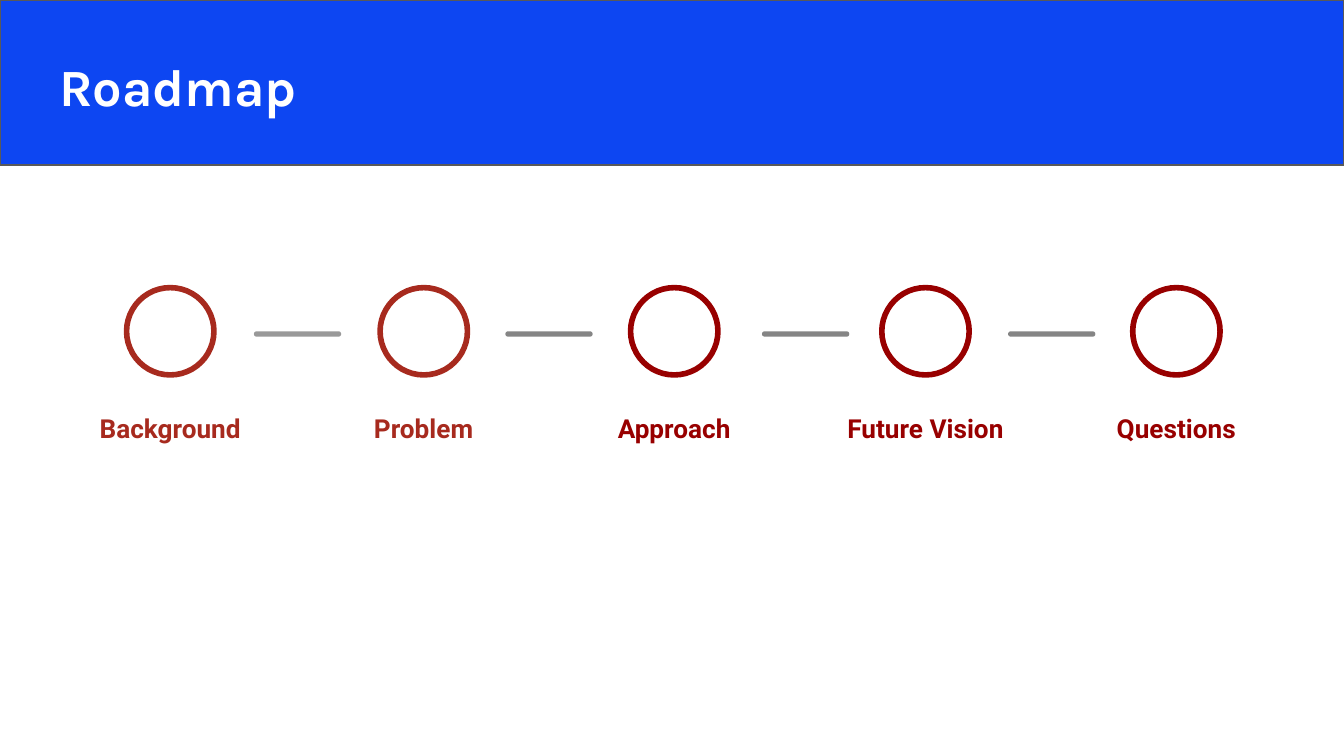
from pptx import Presentation
from pptx.dml.color import RGBColor
from pptx.enum.shapes import MSO_SHAPE
from pptx.enum.text import MSO_ANCHOR, MSO_AUTO_SIZE, PP_ALIGN
from pptx.util import Pt

RECT, OVAL, ROUND = MSO_SHAPE.RECTANGLE, MSO_SHAPE.OVAL, MSO_SHAPE.ROUNDED_RECTANGLE
TOP, BOTTOM = MSO_ANCHOR.TOP, MSO_ANCHOR.BOTTOM
LEFT, CENTER = PP_ALIGN.LEFT, PP_ALIGN.CENTER
FIXED = MSO_AUTO_SIZE.NONE

WIDTH, HEIGHT = 720, 405
PAD = 7.2
RED, DARK = "A72A1E", "980000"
LIGHT, GREY = "999999", "858585"

# Label, centre and colour of each step
STEPS = [
    ("Background", 91.2, RED),
    ("Problem", 227, RED),
    ("Approach", 361.2, DARK),
    ("Future Vision", 495.8, DARK),
    ("Questions", 630.2, DARK),
]
# Left edge and colour of each bar between two steps
BARS = [(136, LIGHT), (270.7, GREY), (408.2, GREY), (540, GREY)]


def paint(color):
    return RGBColor.from_string(color)


def apply(item, values):
    for name, value in values.items():
        setattr(item, name, value)


def draw(shapes, kind, box, fill=None, line=None, weight=0):
    shape = shapes.add_shape(kind, *map(Pt, box))
    shape.shadow.inherit = False
    if fill:
        shape.fill.solid()
        shape.fill.fore_color.rgb = paint(fill)
    else:
        shape.fill.background()
    if line:
        shape.line.color.rgb = paint(line)
        shape.line.width = Pt(weight)
    else:
        shape.line.fill.background()
    return shape


def write(shape, text, color, font, para, anchor):
    frame = shape.text_frame
    sides = ("left", "top", "right", "bottom")
    apply(frame, {f"margin_{side}": Pt(PAD) for side in sides})
    apply(frame, {"word_wrap": True, "auto_size": FIXED,
                  "vertical_anchor": anchor, "text": text})
    first = frame.paragraphs[0]
    apply(first, para)
    apply(first.font, {"bold": True, **font})
    first.font.color.rgb = paint(color)


def header(slide, box):
    left, top, width, height = box
    title = slide.shapes.title
    band = draw(slide.shapes, RECT, box, "0D46F2", "595959", 0.75)
    title.element.addprevious(band.element)
    place = {"left": left + 24.5, "top": top + 21.6,
             "width": width - 49, "height": height - 43.2}
    apply(title, {name: Pt(value) for name, value in place.items()})
    write(title, "Roadmap", "FFFFFF", {"name": "Karla", "size": Pt(28)},
          {"alignment": LEFT}, TOP)


def step(shapes, box, text, color):
    """Place a ring at the top of the box and its label at the bottom."""
    left, top, width, height = box
    ring, label = 46.8, 35.3
    group = shapes.add_group_shape().shapes
    draw(group, OVAL, (left + (width - ring) / 2, top, ring, ring),
         line=color, weight=3)
    place = (left, top + height - label, width, label)
    write(group.add_textbox(*map(Pt, place)), text, color,
          {"name": "Roboto", "size": Pt(14)},
          {"alignment": CENTER, "line_spacing": 1.15}, BOTTOM)


def roadmap(slide, box):
    left, top, width, height = box
    for start, color in BARS:
        bar = draw(slide.shapes, ROUND, (left + start, top + 23.4, 46.8, 2.9), color)
        bar.adjustments[0] = 0.5
    span = 122
    for text, center, color in STEPS:
        step(slide.shapes, (left + center - span / 2, top, span, height), text, color)


def main():
    deck = Presentation()
    apply(deck, {"slide_width": Pt(WIDTH), "slide_height": Pt(HEIGHT)})
    slide = deck.slides.add_slide(deck.slide_layouts[5])
    header(slide, (0, 0, WIDTH, 88.4))
    roadmap(slide, (0, 154.1, WIDTH, 90.7))
    deck.save("out.pptx")


if __name__ == "__main__":
    main()
